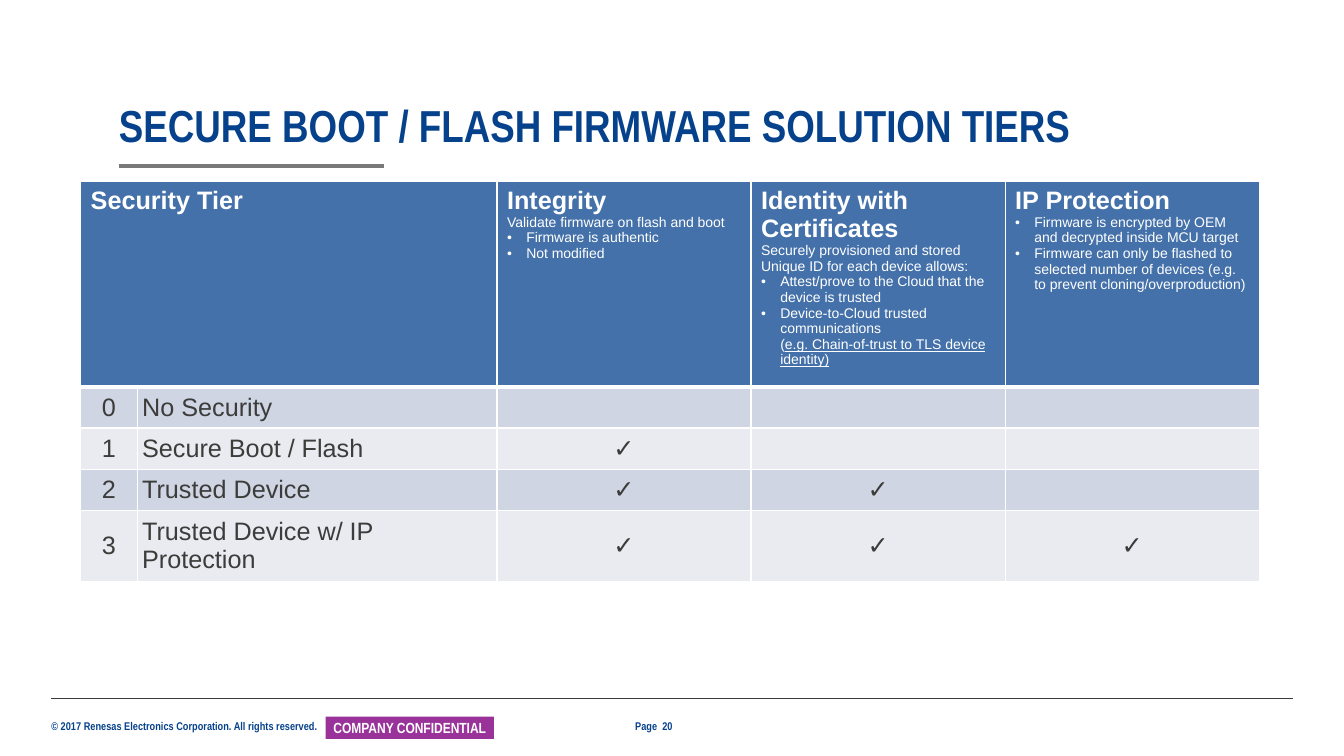
from lxml.etree import SubElement
from pptx import Presentation
from pptx.dml.color import RGBColor
from pptx.enum.shapes import MSO_CONNECTOR as Connector, MSO_SHAPE as Shape
from pptx.enum.text import MSO_ANCHOR as Anchor, PP_ALIGN as Align
from pptx.oxml.ns import qn
from pptx.util import Inches, Pt

NAVY, GRAY, DARK, WHITE = "06418C", "797979", "3C3C3B", "FFFFFF"
PURPLE, HEADER_BLUE = "993399", "4471A9"
BANDS = ["CFD5E2", "E9EBF1"]

TITLE = "SECURE BOOT / FLASH FIRMWARE SOLUTION TIERS"
COPYRIGHT = "© 2017 Renesas Electronics Corporation. All rights reserved."
LABEL = "COMPANY CONFIDENTIAL"
PAGE = "Page  20"

# Each heading: name, introduction, bullets, underlined ending of the last bullet
HEADINGS = [
    ("Security Tier", "", [], ""),
    ("Integrity", "Validate firmware on flash and boot",
     ["Firmware is authentic", "Not modified"], ""),
    ("Identity with Certificates",
     "Securely provisioned and stored Unique ID for each device allows:",
     ["Attest/prove to the Cloud that the device is trusted",
      "Device-to-Cloud trusted communications "],
     "e.g. Chain-of-trust to TLS device identity)"),
    ("IP Protection", "",
     ["Firmware is encrypted by OEM and decrypted inside MCU target",
      "Firmware can only be flashed to selected number of devices "
      "(e.g. to prevent cloning/overproduction)"], ""),
]
HEADING_COLUMNS = [0, 2, 3, 4]
TIERS = ["No Security", "Secure Boot / Flash", "Trusted Device",
         "Trusted Device w/ IP Protection"]
COLUMN_WIDTHS = [0.56, 3.57, 2.52, 2.52, 2.52]
ROW_HEIGHTS = [1.9, 0.41, 0.41, 0.41, 0.65]

HEADING_FONT = {"name": "Arial", "size": Pt(18), "bold": True}
DETAIL_FONT = {"name": "Arial", "size": Pt(10), "bold": False}
BODY_FONT = {"name": "Arial", "size": Pt(18), "bold": False}


def color(value):
    return RGBColor.from_string(value)


def style(font, values, font_color):
    for name, value in values.items():
        setattr(font, name, value)
    font.color.rgb = color(font_color)


def narrow(size):
    return {"name": "Arial Narrow", "size": Pt(size), "bold": True}


def set_text(shape, text, size, font_color, anchor, wrap=True, margin=0):
    frame = shape.text_frame
    frame.word_wrap = wrap
    frame.vertical_anchor = anchor
    frame.margin_left = frame.margin_right = Inches(margin)
    frame.margin_top = frame.margin_bottom = 0
    paragraph = frame.paragraphs[0]
    paragraph.text = text
    style(paragraph.runs[0].font, narrow(size), font_color)
    return paragraph


def add_text(slide, box, *text_values, **options):
    shape = slide.shapes.add_textbox(*map(Inches, box))
    return set_text(shape, *text_values, **options)


def add_rule(slide, left, right, top, line_color, width):
    rule = slide.shapes.add_connector(
        Connector.STRAIGHT, *map(Inches, (left, top, right, top)))
    rule.line.color.rgb = color(line_color)
    rule.line.width = Pt(width)
    SubElement(rule._element.spPr, qn("a:effectLst"))


def format_cell(cell, fill, bottom_width=1, top_width=1):
    properties = cell._tc.get_or_add_tcPr()
    for side, width in (("L", 1), ("R", 1), ("T", top_width), ("B", bottom_width)):
        border = SubElement(properties, qn(f"a:ln{side}"), w=str(Pt(width)))
        solid = SubElement(border, qn("a:solidFill"))
        SubElement(solid, qn("a:srgbClr"), val=WHITE)
    cell.fill.solid()
    cell.fill.fore_color.rgb = color(fill)


def add_run(paragraph, text, font_values):
    run = paragraph.add_run()
    run.text = text
    style(run.font, font_values, WHITE)
    return run


def add_bullet(frame, text):
    paragraph = frame.add_paragraph()
    properties = paragraph._p.get_or_add_pPr()
    indent = Inches(0.19)
    properties.set("marL", str(indent))
    properties.set("indent", str(-indent))
    SubElement(properties, qn("a:buFont"), typeface="Arial")
    SubElement(properties, qn("a:buChar"), char="•")
    add_run(paragraph, text, DETAIL_FONT)
    return paragraph


def fill_heading(cell, name, introduction, bullets, ending):
    frame = cell.text_frame
    add_run(frame.paragraphs[0], name, HEADING_FONT)
    if introduction:
        add_run(frame.add_paragraph(), introduction, DETAIL_FONT)
    for text in bullets:
        paragraph = add_bullet(frame, text)
    if ending:
        paragraph.add_line_break()
        add_run(paragraph, "(", DETAIL_FONT)
        add_run(paragraph, ending, DETAIL_FONT | {"underline": True})


def fill_body(cell, text, align):
    cell.vertical_anchor = Anchor.MIDDLE
    for side in ("left", "right", "top", "bottom"):
        setattr(cell, f"margin_{side}", Inches(0.05))
    paragraph = cell.text_frame.paragraphs[0]
    paragraph.text = text
    paragraph.alignment = align
    style(paragraph.runs[0].font, BODY_FONT, DARK)


def add_tier_table(slide):
    table = slide.shapes.add_table(
        len(ROW_HEIGHTS), len(COLUMN_WIDTHS), Inches(0.8), Inches(1.8),
        Inches(sum(COLUMN_WIDTHS)), Inches(sum(ROW_HEIGHTS))).table
    for column, width in zip(table.columns, COLUMN_WIDTHS):
        column.width = Inches(width)
    for row, height in zip(table.rows, ROW_HEIGHTS):
        row.height = Inches(height)

    for cell in table.rows[0].cells:
        format_cell(cell, HEADER_BLUE, bottom_width=3)
    table.cell(0, 0).merge(table.cell(0, 1))
    for column, heading in zip(HEADING_COLUMNS, HEADINGS):
        fill_heading(table.cell(0, column), *heading)

    for tier, name in enumerate(TIERS):
        cells = list(table.rows[tier + 1].cells)
        for cell in cells:
            format_cell(cell, BANDS[tier % 2], top_width=1 if tier else 3)
        fill_body(cells[0], str(tier), Align.CENTER)
        fill_body(cells[1], name, Align.LEFT)
        for cell in cells[2:2 + tier]:
            fill_body(cell, "✓", Align.CENTER)


def main():
    presentation = Presentation()
    presentation.slide_width = Inches(13.33)
    presentation.slide_height = Inches(7.5)
    slide = presentation.slides.add_slide(presentation.slide_layouts[6])

    add_text(slide, (0.51, 7.14, 2.68, 0.13), COPYRIGHT, 8, NAVY, Anchor.TOP, wrap=False)
    add_rule(slide, 0.51, 12.82, 6.93, DARK, 0.5)
    label = slide.shapes.add_shape(
        Shape.RECTANGLE, *map(Inches, (3.23, 7.11, 1.67, 0.22)))
    label.shadow.inherit = False
    label.fill.solid()
    label.fill.fore_color.rgb = color(PURPLE)
    label.line.fill.background()
    set_text(label, LABEL, 10.5, WHITE, Anchor.MIDDLE, margin=0.04).alignment = Align.CENTER

    add_rule(slide, 1.18, 3.81, 1.65, GRAY, 3)
    title = add_text(slide, (1.18, 0.54, 11.63, 0.97), TITLE, 32, NAVY, Anchor.BOTTOM)
    title.line_spacing = 0.9
    add_text(slide, (6.3, 7.14, 0.73, 0.13), PAGE, 8, NAVY, Anchor.MIDDLE)
    add_tier_table(slide)
    presentation.save("out.pptx")


if __name__ == "__main__":
    main()
